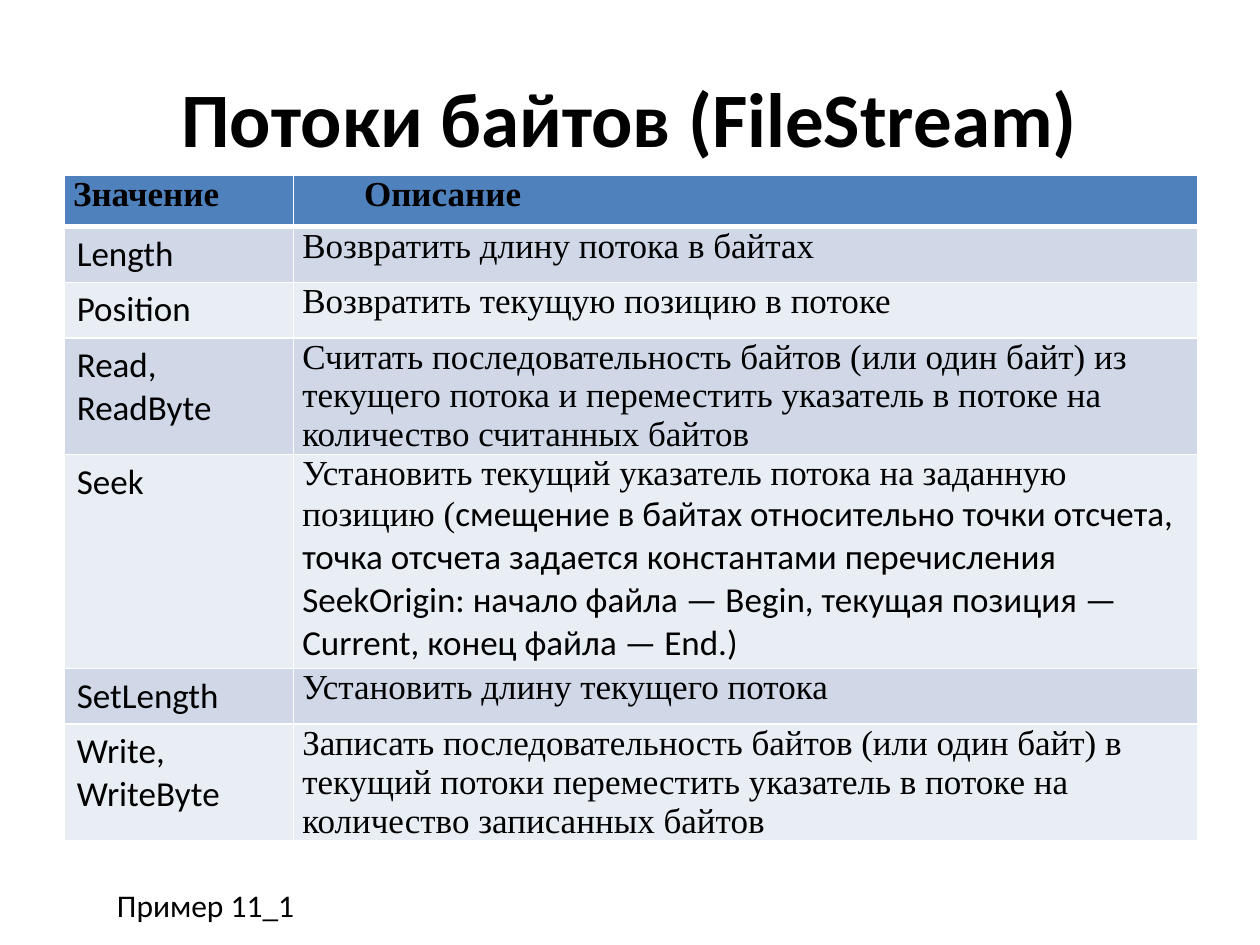
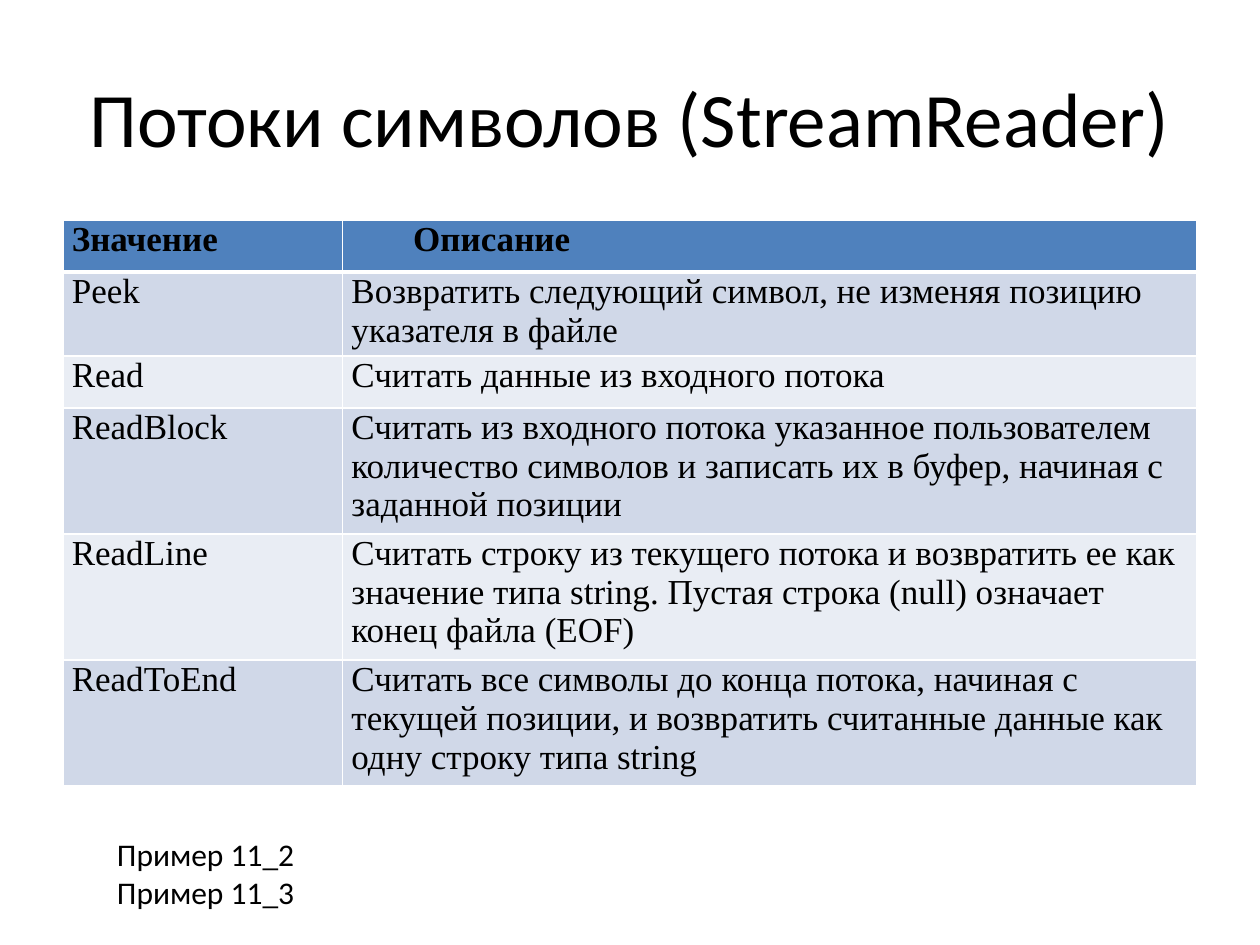
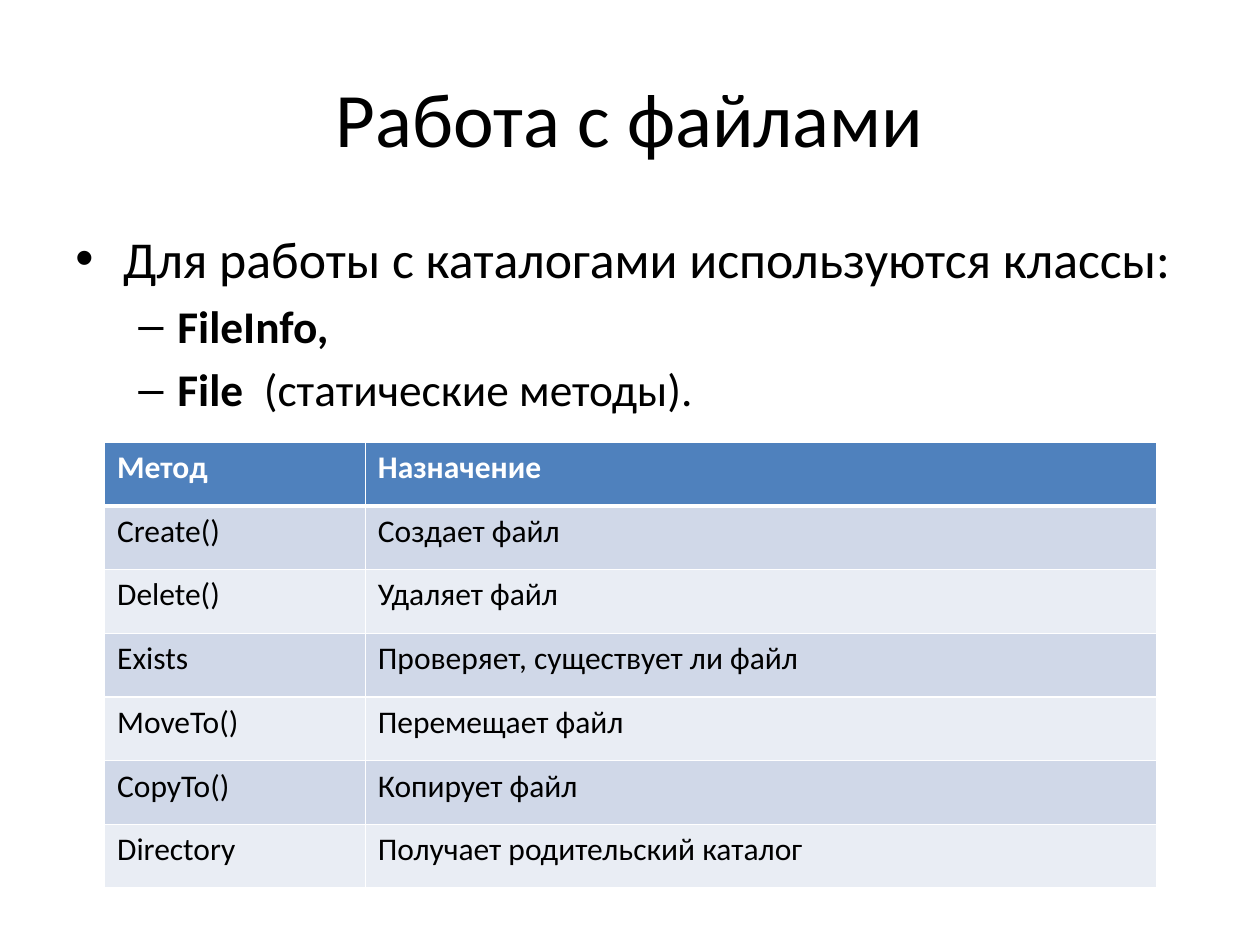
from dataclasses import dataclass, replace

from lxml import etree
from pptx import Presentation
from pptx.dml.color import RGBColor
from pptx.enum.text import MSO_ANCHOR, MSO_AUTO_SIZE, PP_ALIGN
from pptx.oxml.ns import qn
from pptx.util import Inches, Pt

CENTER, LEFT = PP_ALIGN.CENTER, PP_ALIGN.LEFT
TOP, MIDDLE = MSO_ANCHOR.TOP, MSO_ANCHOR.MIDDLE
GROW, FIXED = MSO_AUTO_SIZE.SHAPE_TO_FIT_TEXT, MSO_AUTO_SIZE.NONE
BLANK = 6


@dataclass(frozen=True)
class Type:
    font: str
    size: float
    bold: bool = False
    color: str = "000000"


@dataclass(frozen=True)
class CellStyle:
    body: Type
    head: Type
    margin_x: float = 0.1
    margin_y: float = 0.05
    head_indent: float = 0


class Theme:
    header_fill = "4F81BD"
    bands = ("D0D8E8", "E9EDF4")
    border = "FFFFFF"
    thin, thick = 1, 3

    title = Type("Calibri", 44)
    note = Type("Calibri", 18)
    bullet = Type("Calibri", 29.6)
    dash = Type("Calibri", 25.9)
    sans = Type("Calibri", 20)
    serif = Type("Times New Roman", 20)
    serif_bold = replace(serif, bold=True)

    # Cell styles
    name_cell = CellStyle(sans, serif_bold)
    serif_cell = CellStyle(serif, serif_bold, 0.07, 0)
    text_cell = replace(serif_cell, head_indent=0.49)
    method_cell = CellStyle(note, replace(note, bold=True, color="FFFFFF"))


class Deck:
    def __init__(self, theme):
        self.theme = theme
        self.deck = Presentation()
        self.deck.slide_width, self.deck.slide_height = Inches(10), Inches(7.5)
        self.page = None

    def add_page(self, title, bold=False):
        self.page = self.deck.slides.add_slide(self.deck.slide_layouts[BLANK])
        style = replace(self.theme.title, bold=bold)
        self.text(0.5, 0.3, 9, 1.25, [[(title, style)]], CENTER, MIDDLE)

    @staticmethod
    def set_font(font, style):
        font.name, font.size, font.bold = style.font, Pt(style.size), style.bold
        font.color.rgb = RGBColor.from_string(style.color)

    def fill_para(self, para, spans):
        """Write (text, Type) spans into a paragraph."""
        same = len({style for _, style in spans}) == 1
        if same:
            self.set_font(para.font, spans[0][1])
        for text, style in spans:
            span = para.add_run()
            span.text = text
            if not same:
                self.set_font(span.font, style)

    @staticmethod
    def paras(frame, count):
        return [frame.paragraphs[0]] + [frame.add_paragraph() for _ in range(count - 1)]

    def text(self, left, top, width, height, lines, align=LEFT, anchor=TOP, size=FIXED):
        box = self.page.shapes.add_textbox(
            Inches(left), Inches(top), Inches(width), Inches(height))
        frame = box.text_frame
        frame.word_wrap, frame.auto_size, frame.vertical_anchor = True, size, anchor
        for para, spans in zip(self.paras(frame, len(lines)), lines):
            para.alignment = align
            self.fill_para(para, spans)
        return frame

    def note(self, top, height, *lines):
        self.text(0.83, top, 2.52, height,
                  [[(line, self.theme.note)] for line in lines], size=GROW)

    def bullets(self, left, top, width, height, items):
        """Write items of (marker, indent, hanging, spans)."""
        frame = self.text(left, top, width, height, [[("", item[3][0][1])] for item in items])
        for index, (para, item) in enumerate(zip(frame.paragraphs, items)):
            marker, indent, hanging, spans = item
            para.clear()
            props = para._p.get_or_add_pPr()
            for child in list(props):
                props.remove(child)
            props.set("marL", str(Inches(indent)))
            props.set("indent", str(-Inches(hanging)))
            etree.SubElement(props, qn("a:buFont"), typeface="Arial")
            etree.SubElement(props, qn("a:buChar"), char=marker)
            if index:
                para.space_before = Pt(round(spans[0][1].size * 0.2, 1))
            self.fill_para(para, spans)

    def borders(self, cell, top, bottom):
        props = cell._tc.get_or_add_tcPr()
        thin = self.theme.thin
        for side, width in (("L", thin), ("R", thin), ("T", top), ("B", bottom)):
            line = etree.SubElement(props, qn(f"a:ln{side}"), w=str(Pt(width)))
            fill = etree.SubElement(line, qn("a:solidFill"))
            etree.SubElement(fill, qn("a:srgbClr"), val=self.theme.border)

    def table(self, left, top, widths, heights, rows, styles):
        """Draw a banded table; styles has one CellStyle for each column."""
        theme = self.theme
        table = self.page.shapes.add_table(
            len(rows), len(widths), Inches(left), Inches(top),
            Inches(sum(widths)), Inches(sum(heights))).table
        for column, width in zip(table.columns, widths):
            column.width = Inches(width)
        for row, height in zip(table.rows, heights):
            row.height = Inches(height)
        for r, values in enumerate(rows):
            is_head = r == 0
            color = theme.header_fill if is_head else theme.bands[(r - 1) % 2]
            for c, (value, style) in enumerate(zip(values, styles)):
                cell = table.cell(r, c)
                self.borders(cell, theme.thick if r == 1 else theme.thin,
                             theme.thick if is_head else theme.thin)
                cell.fill.solid()
                cell.fill.fore_color.rgb = RGBColor.from_string(color)
                # Header cells above a name column share the tight margins
                tight = is_head and style is theme.name_cell
                space = theme.serif_cell if tight else style
                cell.margin_left = cell.margin_right = Inches(space.margin_x)
                cell.margin_top = cell.margin_bottom = Inches(space.margin_y)
                kind = style.head if is_head else style.body
                if isinstance(value, str):
                    lines = [[(line, kind)] for line in value.split("\n")]
                else:
                    lines = [value]
                for para, spans in zip(self.paras(cell.text_frame, len(lines)), lines):
                    if is_head and style.head_indent:
                        para._p.get_or_add_pPr().set("indent", str(Inches(style.head_indent)))
                    self.fill_para(para, spans)


def byte_streams(deck):
    theme = deck.theme
    deck.add_page("Потоки байтов (FileStream)", bold=True)
    seek = [
        ("Установить текущий указатель потока на заданную позицию (", theme.serif),
        ("смещение в байтах относительно точки отсчета, точка отсчета задается "
         "константами перечисления SeekOrigin: начало файла — Begin, текущая "
         "позиция — Current, конец файла — End.)", theme.sans),
    ]
    rows = [
        ("Значение", "Описание"),
        ("Length", "Возвратить длину потока в байтах"),
        ("Position", "Возвратить текущую позицию в потоке"),
        ("Read,\nReadByte",
         "Считать последовательность байтов (или один байт) из текущего потока и "
         "переместить указатель в потоке на количество считанных байтов"),
        ("Seek", seek),
        ("SetLength", "Установить длину текущего потока"),
        ("Write,\nWriteByte",
         "Записать последовательность байтов (или один байт) в текущий потоки "
         "переместить указатель в потоке на количество записанных байтов"),
    ]
    deck.table(0.51, 1.39, (1.82, 7.18), (0.41, 0.44, 0.44, 0.92, 1.7, 0.44, 0.92),
               rows, (theme.name_cell, theme.text_cell))
    deck.note(6.98, 0.4, "Пример 11_1")


def character_streams(deck):
    theme = deck.theme
    deck.add_page("Потоки символов (StreamReader)")
    rows = [
        ("Значение", "Описание"),
        ("Peek", "Возвратить следующий символ, не изменяя позицию указателя в файле"),
        ("Read", "Считать данные из входного потока"),
        ("ReadBlock",
         "Считать из входного потока указанное пользователем количество символов "
         "и записать их в буфер, начиная с заданной позиции"),
        ("ReadLine",
         "Считать строку из текущего потока и возвратить ее как значение типа "
         "string. Пустая строка (null) означает конец файла (EOF)"),
        ("ReadToEnd",
         "Считать все символы до конца потока, начиная с текущей позиции, и "
         "возвратить считанные данные как одну строку типа string"),
    ]
    deck.table(0.5, 1.75, (2.22, 6.78), (0.41, 0.61, 0.41, 0.92, 0.92, 0.92),
               rows, (theme.serif_cell, theme.text_cell))
    deck.note(6.58, 0.71, "Пример 11_2", "Пример 11_3")


def file_work(deck):
    theme = deck.theme
    deck.add_page("Работа с файлами")
    strong = replace(theme.dash, bold=True)
    deck.bullets(0.5, 1.75, 9, 1.69, [
        ("•", 0.38, 0.38, [("Для работы с каталогами используются классы:", theme.bullet)]),
        ("–", 0.81, 0.31, [("FileInfo,", strong)]),
        ("–", 0.81, 0.31, [("File  ", strong), ("(статические методы).", theme.dash)]),
    ])
    rows = [
        ("Метод", "Назначение"),
        ("Create()", "Создает файл"),
        ("Delete()", "Удаляет файл"),
        ("Exists", "Проверяет, существует ли файл"),
        ("MoveTo()", "Перемещает файл"),
        ("CopyTo()", "Копирует файл"),
        ("Directory", "Получает родительский каталог"),
    ]
    deck.table(0.83, 3.51, (2.07, 6.28), [3.54 / len(rows)] * len(rows),
               rows, (theme.method_cell, theme.method_cell))


def main():
    deck = Deck(Theme())
    byte_streams(deck)
    character_streams(deck)
    file_work(deck)
    deck.deck.save("out.pptx")


if __name__ == "__main__":
    main()
